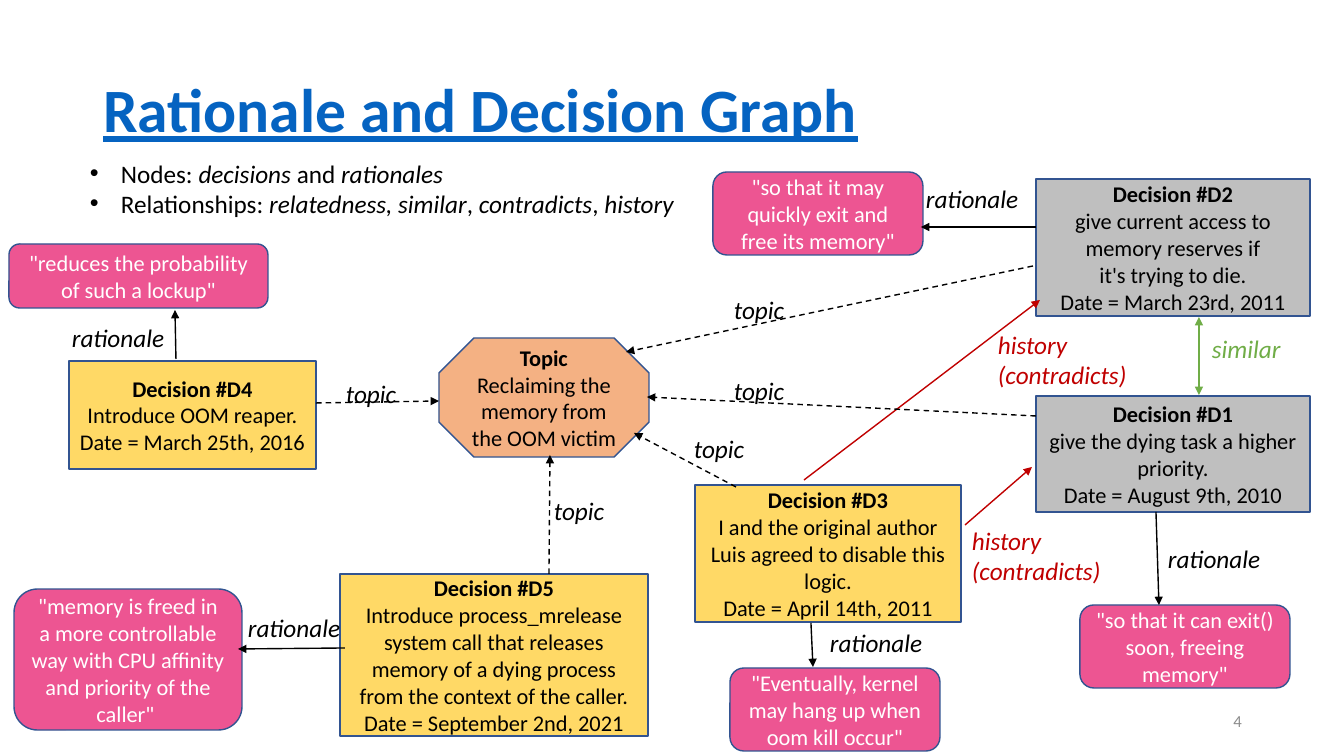
"""Builds the rationale and decision graph slide."""
from lxml.etree import SubElement
from pptx import Presentation
from pptx.dml.color import RGBColor
from pptx.enum.dml import MSO_LINE
from pptx.enum.shapes import MSO_CONNECTOR, MSO_SHAPE
from pptx.enum.text import MSO_ANCHOR as ANCHOR, MSO_AUTO_SIZE, PP_ALIGN as ALIGN
from pptx.oxml.ns import qn
from pptx.util import Pt

SCALE = 914400 / 100.8
BLACK, WHITE, RED, GREEN = "000000", "FFFFFF", "C00000", "70AD47"
GREY, YELLOW, PINK, ORANGE, OUTLINE = "BFBFBF", "FFD966", "ED5592", "F4B183", "325491"


def px(*lengths):
    return [round(length * SCALE) for length in lengths]


def write(frame, paragraphs, size, color, align=ALIGN.LEFT, anchor=ANCHOR.TOP):
    frame.word_wrap = True
    frame.auto_size = MSO_AUTO_SIZE.NONE
    frame.vertical_anchor = anchor
    for index, runs in enumerate(paragraphs):
        paragraph = frame.add_paragraph() if index else frame.paragraphs[0]
        paragraph.alignment = align
        for text, style in runs:
            run = paragraph.add_run()
            run.text = text
            run.font.name, run.font.size = "Calibri", Pt(size)
            run.font.color.rgb = RGBColor.from_string(color)
            run.font.bold, run.font.italic = "b" in style, "i" in style
            run.font.underline = "u" in style


deck = Presentation()
deck.slide_width, deck.slide_height = px(1344, 756)
slide = deck.slides.add_slide(deck.slide_layouts[5])
shapes = slide.shapes

title = shapes.title
title.left, title.top, title.width, title.height = px(93, 40, 1159, 146)
write(title.text_frame, [[("Rationale\u00a0and Decision Graph", "bu")]], 44, "0563C1",
      anchor=ANCHOR.MIDDLE)
title.text_frame.paragraphs[0].line_spacing = 0.9

page_number = shapes.add_textbox(*px(950, 701, 302, 40))
write(page_number.text_frame, [[("4", "")]], 12, "8C8C8C", ALIGN.RIGHT, ANCHOR.MIDDLE)

summary = shapes.add_textbox(*px(80, 153, 1113, 72)).text_frame
write(summary, [
    [("Nodes:\u00a0", ""), ("decisions ", "i"), ("and ", ""), ("rationales", "i")],
    [("Relationships: ", ""), ("relatedness, similar", "i"), (", ", ""),
     ("contradicts", "i"), (", ", ""), ("history\u00a0", "i")],
], 18, BLACK)
indent = px(31)[0]
for paragraph in summary.paragraphs:
    properties = paragraph._p.get_or_add_pPr()
    properties.set("marL", str(indent))
    properties.set("indent", str(-indent))
    SubElement(properties, qn("a:buFont")).set("typeface", "Arial")
    SubElement(properties, qn("a:buChar")).set("char", "•")

RECT, ROUND, OCTAGON = MSO_SHAPE.RECTANGLE, MSO_SHAPE.ROUNDED_RECTANGLE, MSO_SHAPE.OCTAGON
nodes = [
    (RECT, GREY, (1036, 396, 274, 116), "Decision #D1",
     ["give the dying task\u00a0a higher priority.", "Date = August 9th, 2010"]),
    (RECT, GREY, (1036, 179, 274, 137), "Decision #D2",
     ["give\u00a0current access\u00a0to memory reserves\u00a0if it's\u00a0trying to die.",
      "Date = March 23rd, 2011"]),
    (RECT, YELLOW, (695, 485, 266, 137), "Decision #D3",
     ["I and the original author Luis agreed to disable this logic.",
      "Date = April 14th, 2011"]),
    (RECT, YELLOW, (69, 361, 247, 108), "Decision #D4",
     ["Introduce\u00a0OOM reaper.", "Date = March\u00a025th, 2016"]),
    (RECT, YELLOW, (340, 574, 308, 162), "Decision #D5",
     ["Introduce process_mrelease system call that releases memory of a dying\u00a0process "
      "from the context of the caller.", "Date = September 2nd, 2021"]),
    (ROUND, PINK, (730, 668, 210, 83), None,
     ['"Eventually, kernel may hang up when oom kill occur"']),
    (ROUND, PINK, (14, 589, 228, 141), None,
     ['"memory is freed in a more controllable way\u00a0with CPU affinity '
      'and priority of the caller"\u00a0']),
    (ROUND, PINK, (9, 244, 259, 64), None, ['"reduces the probability of such a lockup"']),
    (ROUND, PINK, (1080, 605, 210, 83), None,
     ['"so that it can exit() soon, freeing memory"']),
    (ROUND, PINK, (713, 172, 210, 83), None,
     ['"so that it\u00a0may quickly exit and free its memory"']),
    (OCTAGON, ORANGE, (439, 338, 210, 119), "Topic",
     ["Reclaiming the memory from the OOM victim"]),
]
for outline, fill, box, heading, body in nodes:
    node = shapes.add_shape(outline, *px(*box))
    node.shadow.inherit = False
    node.fill.solid()
    node.fill.fore_color.rgb = RGBColor.from_string(fill)
    node.line.color.rgb = RGBColor.from_string(OUTLINE)
    node.line.width = Pt(1)
    paragraphs = [[(heading, "b")]] if heading else []
    paragraphs += [[(text, "")] for text in body]
    write(node.text_frame, paragraphs, 16, WHITE if fill == PINK else BLACK,
          ALIGN.CENTER, ANCHOR.MIDDLE)

relations = [
    ("similar", GREEN, 1.5, (119, 40), [(1199, 317, 1199, 395)], [(1202, 328)]),
    ("rationale", BLACK, 1, (119, 40),
     [(176, 359, 175, 310), (811, 623, 813, 667), (345, 648, 238, 649),
      (1156, 512, 1159, 605), (1036, 227, 921, 227)],
     [(62, 317), (238, 607), (820, 622), (1158, 538), (916, 178)]),
    ("history (contradicts)\u00a0", RED, 1, (160, 72),
     [(804, 480, 1040, 300), (965, 525, 1032, 467)], [(988, 324), (962, 520)]),
    ("topic", BLACK, 1, (119, 40),
     [(736, 487, 634, 433), (549, 574, 550, 455), (316, 403, 439, 401),
      (1033, 266, 626, 352), (1036, 416, 647, 397)],
     [(724, 289), (724, 370), (684, 428), (544, 490), (336, 373)]),
]
for relation, color, weight, label_size, arrows, labels in relations:
    for ends in arrows:
        arrow = shapes.add_connector(MSO_CONNECTOR.STRAIGHT, *px(*ends))
        arrow.line.color.rgb = RGBColor.from_string(color)
        arrow.line.width = Pt(weight)
        if relation == "topic":
            arrow.line.dash_style = MSO_LINE.DASH
        stroke = arrow.line._get_or_add_ln()
        for tip in ("a:headEnd", "a:tailEnd") if relation == "similar" else ("a:tailEnd",):
            SubElement(stroke, qn(tip)).set("type", "triangle")
        SubElement(arrow._element.spPr, qn("a:effectLst"))
    for corner in labels:
        label = shapes.add_textbox(*px(*corner, *label_size))
        write(label.text_frame, [[(relation, "i")]], 18, color)

deck.save("out.pptx")
